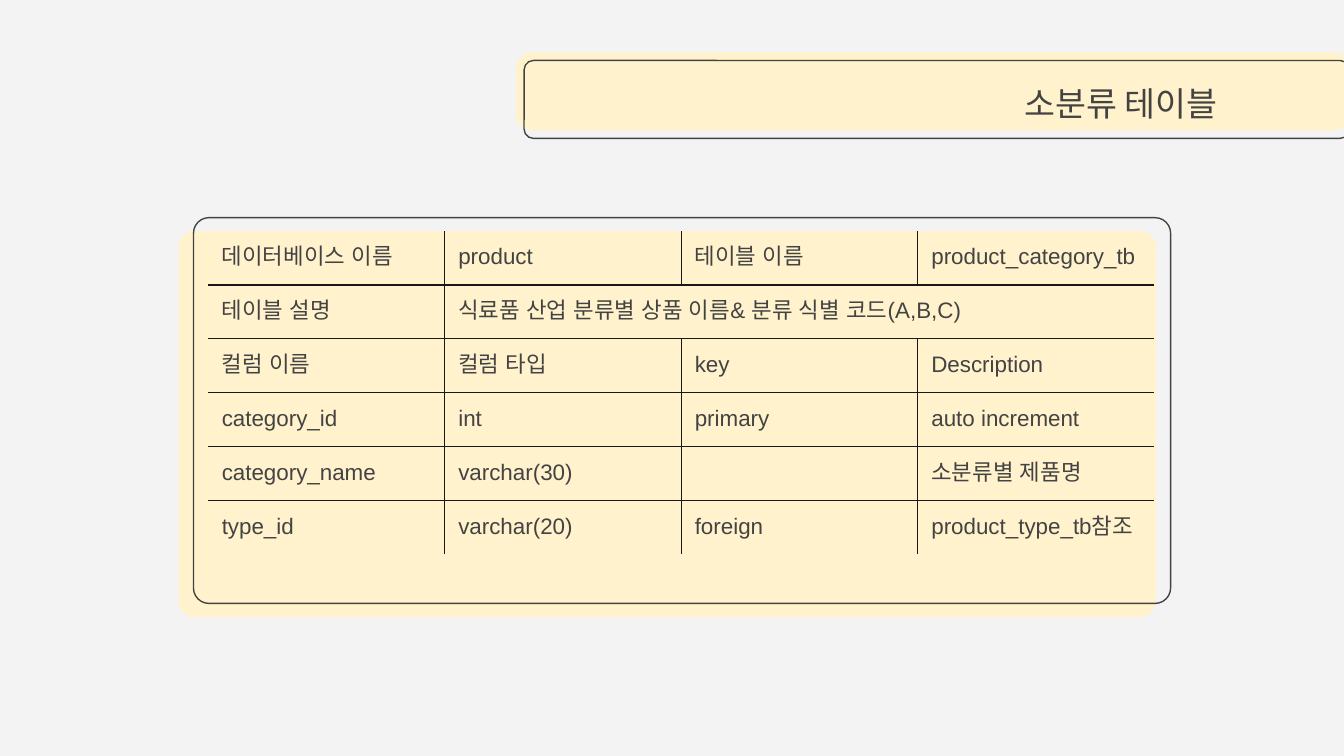
from dataclasses import dataclass

from lxml.etree import SubElement
from pptx import Presentation
from pptx.dml.color import RGBColor
from pptx.enum.shapes import MSO_SHAPE
from pptx.enum.text import MSO_ANCHOR, MSO_AUTO_SIZE, PP_ALIGN
from pptx.oxml.ns import qn
from pptx.util import Inches, Pt


@dataclass(frozen=True)
class Theme:
    background: str = "F3F3F3"
    panel: str = "FFF2CC"
    ink: str = "434343"
    grid: str = "181818"
    title_font: str = "Calibri"
    body_font: str = "Arial"
    title_size: int = 18
    body_size: int = 12
    line_width: float = 0.75


THEME = Theme()
PADDING = Inches(0.1)
COLUMN_WIDTH = 1.76
ROW_HEIGHT = 0.4
MERGED_ROW = 1

SCHEMA_ROWS = [
    ["데이터베이스 이름", "product", "테이블 이름", "product_category_tb"],
    ["테이블 설명", "식료품 산업 분류별 상품 이름& 분류 식별 코드(A,B,C)", "", ""],
    ["컬럼 이름", "컬럼 타입", "key", "Description"],
    ["category_id", "int", "primary", "auto increment"],
    ["category_name", "varchar(30)", "", "소분류별 제품명"],
    ["type_id", "varchar(20)", "foreign", "product_type_tb참조"],
]


def color(code):
    return RGBColor.from_string(code)


def add_text(paragraph, text, font_name, size):
    """Add one run, with the same font for Latin and Korean letters."""
    run = paragraph.add_run()
    run.text = text
    run.font.size = Pt(size)
    run.font.color.rgb = color(THEME.ink)
    run.font.name = font_name
    SubElement(run._r.get_or_add_rPr(), qn("a:ea"), typeface=font_name)


def add_rounded_panel(slide, left, top, width, height, rounding, filled):
    """Draw a plain filled panel, or an outline without fill."""
    panel = slide.shapes.add_shape(
        MSO_SHAPE.ROUNDED_RECTANGLE,
        Inches(left), Inches(top), Inches(width), Inches(height))
    panel.adjustments[0] = rounding
    panel.shadow.inherit = False
    if filled:
        panel.fill.solid()
        panel.fill.fore_color.rgb = color(THEME.panel)
        panel.line.fill.background()
    else:
        panel.fill.background()
        panel.line.color.rgb = color(THEME.ink)
        panel.line.width = Pt(THEME.line_width)


def set_title(slide, text):
    """Fill the title placeholder and bring it in front of its band."""
    title = slide.shapes.title
    title.left, title.top = Inches(5.67), Inches(0.5)
    title.width, title.height = Inches(3.49), Inches(0.53)
    frame = title.text_frame
    frame.word_wrap = True
    frame.auto_size = MSO_AUTO_SIZE.NONE
    frame.vertical_anchor = MSO_ANCHOR.MIDDLE
    frame.margin_left = frame.margin_right = PADDING
    frame.margin_top = frame.margin_bottom = PADDING
    heading = frame.paragraphs[0]
    heading.alignment = PP_ALIGN.RIGHT
    add_text(heading, text, THEME.title_font, THEME.title_size)
    slide.shapes._spTree.append(title._element)


def set_borders(cell, visible):
    """Take the visibility of the left, right, top and bottom edges."""
    properties = cell._tc.get_or_add_tcPr()
    for edge, shown in zip(("lnL", "lnR", "lnT", "lnB"), visible):
        line = SubElement(properties, qn(f"a:{edge}"), w=str(Pt(THEME.line_width)))
        if shown:
            fill = SubElement(line, qn("a:solidFill"))
            SubElement(fill, qn("a:srgbClr"), val=THEME.grid)
        else:
            SubElement(line, qn("a:noFill"))


def format_cell(cell, text, visible):
    cell.margin_left = cell.margin_right = PADDING
    cell.margin_top = cell.margin_bottom = PADDING
    set_borders(cell, visible)
    cell.fill.background()
    paragraph = cell.text_frame.paragraphs[0]
    if text:
        add_text(paragraph, text, THEME.body_font, THEME.body_size)
    else:
        SubElement(paragraph._p, qn("a:endParaRPr"), sz=str(THEME.body_size * 100))


def add_schema_table(slide, rows, left, top):
    """Draw the grid with inner lines only."""
    row_count, column_count = len(rows), len(rows[0])
    table = slide.shapes.add_table(
        row_count, column_count, Inches(left), Inches(top),
        Inches(COLUMN_WIDTH * column_count), Inches(ROW_HEIGHT * row_count)).table
    table.first_row = table.horz_banding = False
    for column in table.columns:
        column.width = Inches(COLUMN_WIDTH)
    for row in table.rows:
        row.height = Inches(ROW_HEIGHT)
    table.cell(MERGED_ROW, 1).merge(table.cell(MERGED_ROW, column_count - 1))

    for r, texts in enumerate(rows):
        for c, text in enumerate(texts):
            cell = table.cell(r, c)
            merged = cell.is_merge_origin or cell.is_spanned
            visible = (c > 0 and not cell.is_spanned,
                       c < column_count - 1 and not merged,
                       r > 0,
                       r < row_count - 1)
            format_cell(cell, text, visible)


def main():
    presentation = Presentation()
    presentation.slide_width = Inches(10)
    presentation.slide_height = Inches(10) * 9 // 16
    slide = presentation.slides.add_slide(
        presentation.slide_layouts.get_by_name("Title Only"))
    slide.background.fill.solid()
    slide.background.fill.fore_color.rgb = color(THEME.background)

    add_rounded_panel(slide, 3.84, 0.39, 6.2, 0.58, 0.2, filled=True)
    add_rounded_panel(slide, 3.9, 0.45, 6.14, 0.58, 0.12, filled=False)
    set_title(slide, "소분류 테이블")

    add_rounded_panel(slide, 1.33, 1.72, 7.27, 2.87, 0.04, filled=True)
    add_rounded_panel(slide, 1.44, 1.62, 7.27, 2.87, 0.04, filled=False)
    add_schema_table(slide, SCHEMA_ROWS, 1.55, 1.72)

    presentation.save("out.pptx")


if __name__ == "__main__":
    main()
